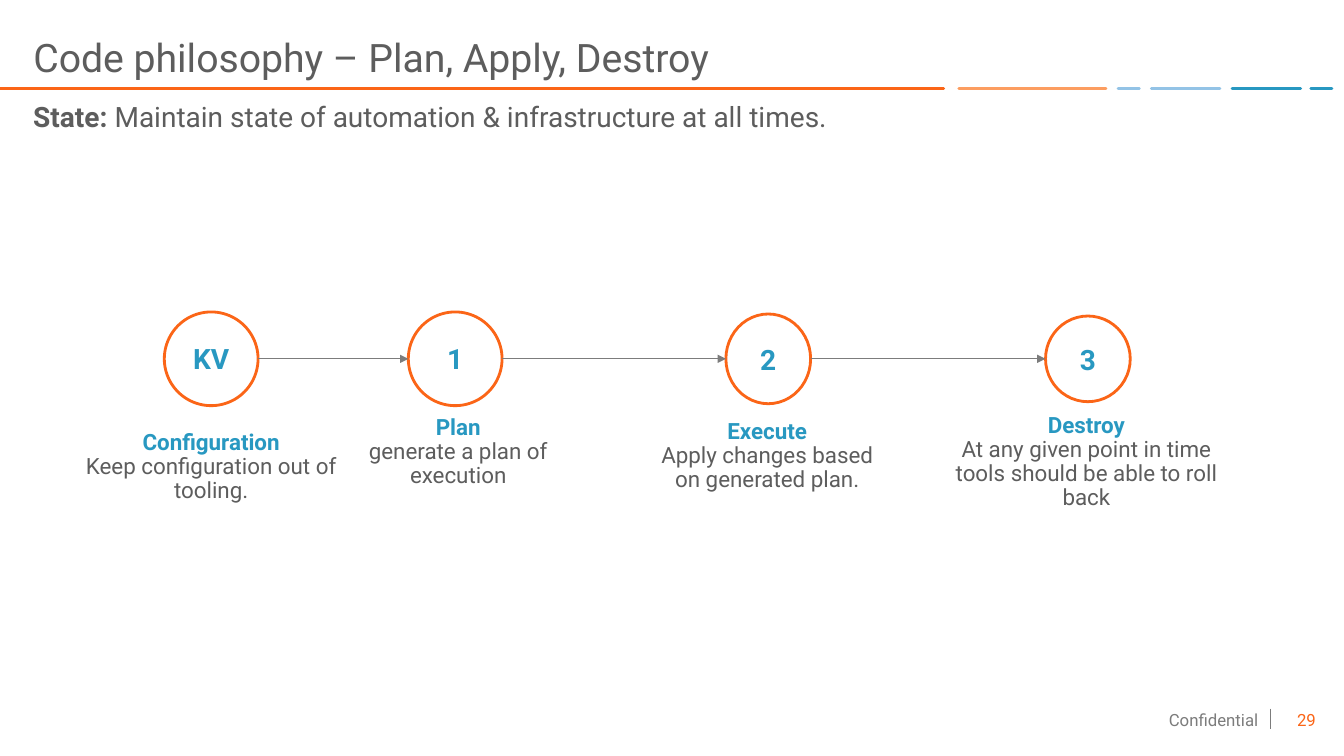
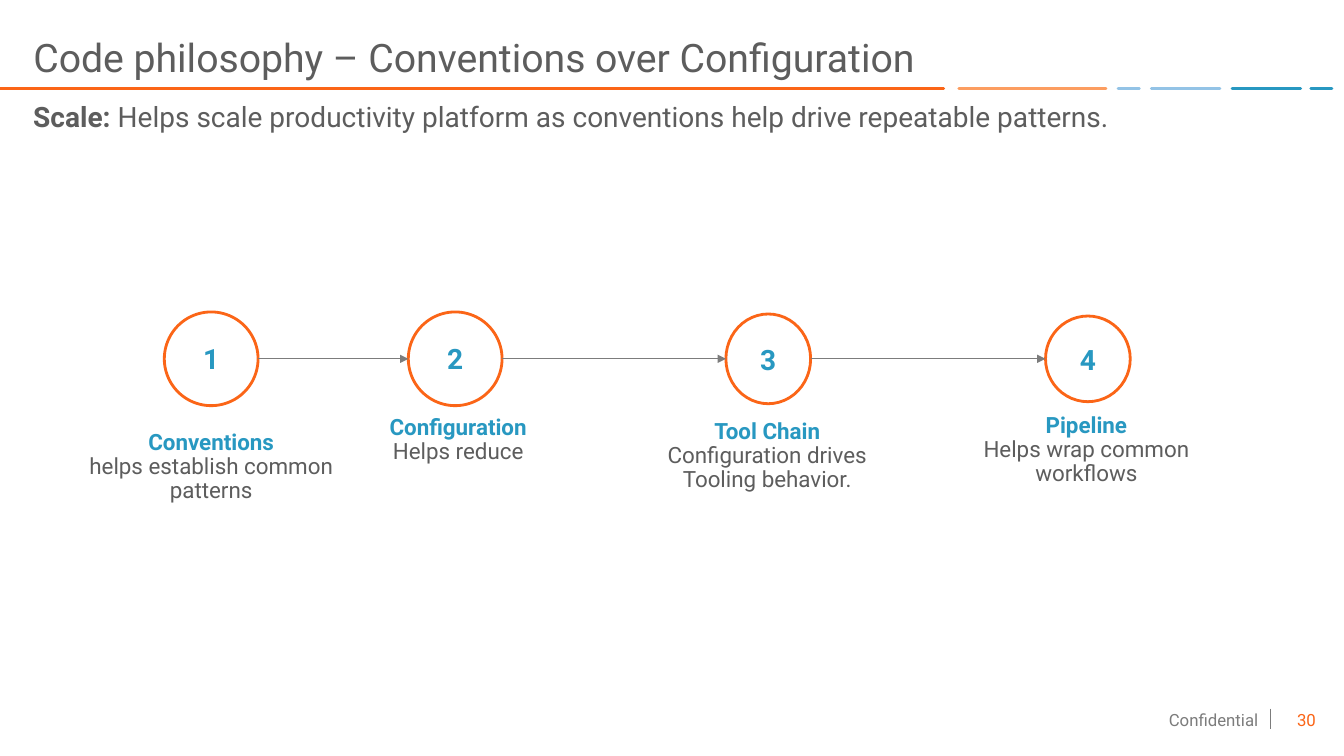
from lxml import etree
from pptx import Presentation
from pptx.dml.color import RGBColor
from pptx.enum.shapes import MSO_CONNECTOR, MSO_SHAPE
from pptx.enum.text import MSO_ANCHOR, MSO_AUTO_SIZE, PP_ALIGN
from pptx.oxml.ns import qn
from pptx.util import Inches, Pt

STRAIGHT = MSO_CONNECTOR.STRAIGHT
OVAL = MSO_SHAPE.OVAL
TOP, MIDDLE, BOTTOM = MSO_ANCHOR.TOP, MSO_ANCHOR.MIDDLE, MSO_ANCHOR.BOTTOM
LEFT, CENTER, RIGHT = PP_ALIGN.LEFT, PP_ALIGN.CENTER, PP_ALIGN.RIGHT
NO_AUTOSIZE = MSO_AUTO_SIZE.NONE

FONT = "Roboto"
ORANGE = RGBColor(0xFB, 0x65, 0x17)
LIGHT_ORANGE = RGBColor(0xFC, 0x9D, 0x60)
LIGHT_BLUE = RGBColor(0x93, 0xC3, 0xE6)
BLUE = RGBColor(0x28, 0x98, 0xC1)
DARK_GRAY = RGBColor(0x5D, 0x5D, 0x5D)
GRAY = RGBColor(0x7C, 0x7C, 0x7C)

# Content: each step is (mark in the circle, heading, description)
FIRST_PAGE = 29
SLIDES = [
    {
        "title": "Code philosophy – Plan, Apply, Destroy",
        "lead": ("State: ", "Maintain state of automation & infrastructure at all times."),
        "steps": [
            ("KV", "Configuration", "Keep configuration out of tooling."),
            ("1", "Plan", "generate a plan of execution"),
            ("2", "Execute", "Apply changes based on generated plan."),
            ("3", "Destroy", "At any given point in time tools should be able to roll back"),
        ],
    },
    {
        "title": "Code philosophy – Conventions over Configuration",
        "lead": ("Scale: ", "Helps scale productivity platform as conventions help "
                            "drive repeatable patterns."),
        "steps": [
            ("1", "Conventions", "helps establish common patterns"),
            ("2", "Configuration", "Helps reduce"),
            ("3", "Tool Chain", "Configuration drives Tooling behavior."),
            ("4", "Pipeline", "Helps wrap common workflows"),
        ],
    },
]

# Shared geometry, in inches
RULE_Y = 0.88
RULE_SEGMENTS = [
    (0, 9.36, ORANGE), (9.51, 10.97, LIGHT_ORANGE), (11.09, 11.3, LIGHT_BLUE),
    (11.42, 12.1, LIGHT_BLUE), (12.22, 12.9, BLUE), (13, 13.21, BLUE),
]
FLOW_Y = 3.56
# Circle left, width, height; label left, top, width
STEP_PLACES = [
    (1.63, 0.93, 0.93, 0.66, 4.23, 2.87),
    (4.05, 0.93, 0.93, 3.11, 4.08, 2.87),
    (7.2, 0.84, 0.89, 6.36, 4.12, 2.5),
    (10.37, 0.84, 0.85, 9.34, 4.06, 2.87),
]


def write_text(shape, paragraphs, size, align=LEFT, anchor=TOP, spacing=1.0, side_inset=0.1):
    """Each paragraph is a list of runs: (text, colour, bold)."""
    frame = shape.text_frame
    frame.word_wrap = True
    frame.auto_size = NO_AUTOSIZE
    frame.vertical_anchor = anchor
    frame.margin_left = frame.margin_right = Inches(side_inset)
    frame.margin_top = frame.margin_bottom = Inches(0.05)
    for index, runs in enumerate(paragraphs):
        paragraph = frame.add_paragraph() if index else frame.paragraphs[0]
        paragraph.alignment = align
        paragraph.line_spacing = spacing
        paragraph.space_before = Pt(0)
        for text, color, bold in runs:
            run = paragraph.add_run()
            run.text = text
            run.font.name = FONT
            run.font.size = Pt(size)
            run.font.bold = bold
            run.font.color.rgb = color


def add_text(slide, place, paragraphs, size, **text_format):
    box = slide.shapes.add_textbox(*map(Inches, place))
    write_text(box, paragraphs, size, **text_format)


def add_line(slide, start, end, color, width, arrow=False, round_cap=False):
    line = slide.shapes.add_connector(STRAIGHT, *map(Inches, (*start, *end)))
    line.line.color.rgb = color
    line.line.width = Pt(width)
    properties = line.line._get_or_add_ln()
    if round_cap:
        properties.set("cap", "rnd")
    if arrow:
        etree.SubElement(properties, qn("a:tailEnd"), type="triangle")
    etree.SubElement(line._element.spPr, qn("a:effectLst"))


def add_frame(slide, title, lead, page):
    # Title and segmented rule
    heading = slide.shapes.title
    heading.left, heading.top, heading.width, heading.height = map(
        Inches, (0.33, 0, 12.67, 0.85))
    write_text(heading, [[(title, DARK_GRAY, False)]], 28,
               anchor=BOTTOM, spacing=0.9, side_inset=0)
    for start, end, color in RULE_SEGMENTS:
        add_line(slide, (start, RULE_Y), (end, RULE_Y), color, 2, round_cap=True)

    # Lead sentence
    label, sentence = lead
    add_text(slide, (0.33, 0.98, 12.67, 0.53),
             [[(label, DARK_GRAY, True), (sentence, DARK_GRAY, False)]], 20,
             spacing=0.9, side_inset=0)

    # Footer
    add_line(slide, (12.6, 7.03), (12.6, 7.23), GRAY, 1)
    for left, width, text, color in [(10.65, 1.93, "Confidential", GRAY),
                                     (12.4, 0.75, str(page), ORANGE)]:
        add_text(slide, (left, 6.99, width, 0.3), [[(text, color, False)]], 12,
                 align=RIGHT, anchor=MIDDLE)


def add_flow(slide, steps):
    previous_right = None
    for (mark, heading, description), place in zip(steps, STEP_PLACES):
        left, width, height, label_left, label_top, label_width = place
        # Numbered circle
        circle = slide.shapes.add_shape(
            OVAL, *map(Inches, (left, FLOW_Y - height / 2, width, height)))
        circle.shadow.inherit = False
        circle.fill.background()
        circle.line.color.rgb = ORANGE
        circle.line.width = Pt(2)
        write_text(circle, [[(mark, BLUE, True)]], 20, align=CENTER, anchor=MIDDLE)
        # Label below the circle
        add_text(slide, (label_left, label_top, label_width, 0.73),
                 [[(heading, BLUE, True)], [(description, DARK_GRAY, False)]], 16,
                 align=CENTER, spacing=0.9)
        # Arrow from the previous circle
        if previous_right is not None:
            add_line(slide, (previous_right, FLOW_Y), (left, FLOW_Y), GRAY, 0.75, arrow=True)
        previous_right = left + width


def main():
    presentation = Presentation()
    presentation.slide_width = Inches(13.33)
    presentation.slide_height = Inches(7.5)
    title_only = presentation.slide_layouts[5]
    for page, content in enumerate(SLIDES, FIRST_PAGE):
        slide = presentation.slides.add_slide(title_only)
        add_frame(slide, content["title"], content["lead"], page)
        add_flow(slide, content["steps"])
    presentation.save("out.pptx")


if __name__ == "__main__":
    main()
